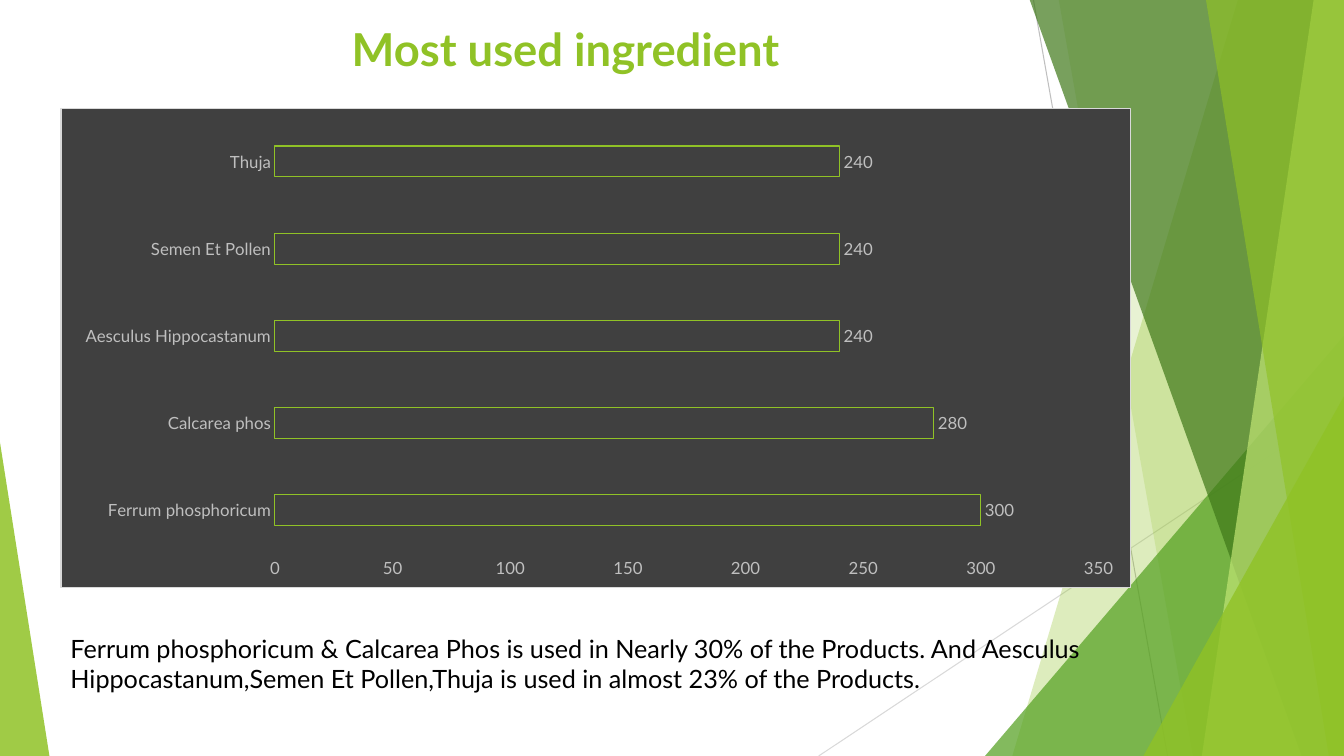
from dataclasses import dataclass

from lxml import etree
from pptx import Presentation
from pptx import util as u
from pptx.chart.data import CategoryChartData
from pptx.dml.color import RGBColor
from pptx.enum import chart as ch, shapes, text
from pptx.oxml import ns, parse_xml


@dataclass(frozen=True)
class Theme:
    """Colours, type sizes and line width of the slide."""
    font: str = "Lato"
    lime: str = "90C226"
    green: str = "54A021"
    forest: str = "3F7819"
    pale: str = "C0E474"
    panel: str = "404040"
    panel_edge: str = "D9D9D9"
    chart_text: str = "BFBFBF"
    ink: str = "000000"
    title_size: float = 32.4
    body_size: float = 18
    chart_size: float = 12
    hairline: float = 0.75


PANEL_XML = """<c:spPr %s><a:solidFill><a:srgbClr val="%s"/></a:solidFill>
<a:ln w="%d"><a:solidFill><a:srgbClr val="%s"/></a:solidFill></a:ln></c:spPr>"""
LAYOUT_XML = """<c:layout %s><c:manualLayout><c:layoutTarget val="inner"/>
<c:xMode val="edge"/><c:yMode val="edge"/><c:x val="%s"/><c:y val="%s"/>
<c:w val="%s"/><c:h val="%s"/></c:manualLayout></c:layout>"""


def inches(*lengths):
    """Convert several lengths to slide units."""
    return [u.Inches(length) for length in lengths]


class SlideBuilder:
    """Draws styled elements on one slide."""

    def __init__(self, slide, theme):
        """Keep the slide and its theme."""
        self.slide, self.theme = slide, theme

    def _font(self, font, size, color, bold=False):
        """Style a font."""
        font.name, font.size, font.bold = self.theme.font, u.Pt(size), bold
        font.color.rgb = RGBColor.from_string(color)

    def _glass(self, shape, color, opacity):
        """Give a shape a see-through fill without line or shadow."""
        shape.shadow.inherit = False
        shape.line.fill.background()
        shape.fill.solid()
        shape.fill.fore_color.rgb = RGBColor.from_string(color)
        tint = shape.fill._xPr.find(".//" + ns.qn("a:srgbClr"))
        etree.SubElement(tint, ns.qn("a:alpha"), val=str(opacity * 1000))

    def line(self, start, end, color):
        """Draw a hairline."""
        line = self.slide.shapes.add_connector(
            shapes.MSO_CONNECTOR.STRAIGHT, *inches(*start, *end))
        line.line.color.rgb = RGBColor.from_string(color)
        line.line.width = u.Pt(self.theme.hairline)
        etree.SubElement(line._element.spPr, ns.qn("a:effectLst"))

    def facet(self, points, color, opacity):
        """Draw a see-through polygon."""
        first, *rest = [inches(*point) for point in points]
        outline = self.slide.shapes.build_freeform(*first)
        outline.add_line_segments(rest, close=True)
        self._glass(outline.convert_to_shape(), color, opacity)

    def triangle(self, box, apex, color, opacity):
        """Draw a see-through triangle with its apex at a fraction of the width."""
        triangle = self.slide.shapes.add_shape(
            shapes.MSO_SHAPE.ISOSCELES_TRIANGLE, *inches(*box))
        triangle.adjustments[0] = apex
        self._glass(triangle, color, opacity)

    def text(self, box, words, size, color, bold=False, align=text.PP_ALIGN.LEFT,
             anchor=text.MSO_ANCHOR.TOP):
        """Add a wrapped paragraph."""
        frame = self.slide.shapes.add_textbox(*inches(*box)).text_frame
        frame.word_wrap, frame.vertical_anchor = True, anchor
        paragraph = frame.paragraphs[0]
        paragraph.text, paragraph.alignment = words, align
        self._font(paragraph.font, size, color, bold)

    def bar_chart(self, box, counts, plot_area):
        """Add a chart of outlined horizontal bars on a dark panel."""
        theme = self.theme
        data = CategoryChartData()
        data.categories = list(counts)
        data.add_series("Series 1", list(counts.values()))
        chart = self.slide.shapes.add_chart(
            ch.XL_CHART_TYPE.BAR_CLUSTERED, *inches(*box), data).chart
        chart.has_title = chart.has_legend = False
        self._font(chart.font, theme.chart_size, theme.chart_text)
        for axis in (chart.category_axis, chart.value_axis):
            axis.has_major_gridlines = False
            axis.major_tick_mark = axis.minor_tick_mark = ch.XL_TICK_MARK.NONE
            axis.format.line.fill.background()
            self._font(axis.tick_labels.font, theme.chart_size, theme.chart_text)
        chart.value_axis.minimum_scale = 0
        chart.value_axis.maximum_scale = 350
        chart.value_axis.major_unit = 50

        plot = chart.plots[0]
        plot.gap_width, plot.overlap, plot.vary_by_categories = 182, -50, False
        bars = plot.series[0]
        bars.format.fill.background()
        bars.format.line.color.rgb = RGBColor.from_string(theme.lime)
        bars.format.line.width = u.Pt(theme.hairline)
        labels = bars.data_labels
        labels.show_value = True
        labels.position = ch.XL_LABEL_POSITION.OUTSIDE_END
        self._font(labels.font, theme.chart_size, theme.chart_text)

        root = chart._chartSpace
        panel = PANEL_XML % (ns.nsdecls("c", "a"), theme.panel,
                             u.Pt(theme.hairline), theme.panel_edge)
        root.find(ns.qn("c:txPr")).addprevious(parse_xml(panel))
        area = root.find(".//" + ns.qn("c:plotArea"))
        for layout in area.findall(ns.qn("c:layout")):
            area.remove(layout)
        area.insert(0, parse_xml(LAYOUT_XML % (ns.nsdecls("c"), *plot_area)))


def draw_backdrop(builder):
    """Draw the green facets along the slide edges."""
    theme = builder.theme
    top, right, bottom = -0.01, 13.33, 7.5

    def band(top_left, bottom_left, color, opacity):
        """Draw a facet that reaches the right edge."""
        builder.facet([(top_left, top), (right, top), (right, bottom),
                       (bottom_left, bottom)], color, opacity)

    builder.line((10.25, 0), (11.58, bottom), theme.chart_text)
    builder.line((right, 4.03), (8.12, bottom), theme.panel_edge)
    band(12.28, 10.04, theme.lime, 30)
    band(10.5, 11.83, theme.lime, 20)
    builder.triangle((9.77, 3.33, 3.56, 4.17), 1, theme.green, 72)
    band(10.21, 12.91, theme.forest, 70)
    band(13.03, 11.92, theme.pale, 70)
    band(11.96, 13.18, theme.lime, 65)
    builder.triangle((11.34, 3.93, 1.99, 3.57), 1, theme.lime, 80)
    builder.triangle((0, 4.39, 0.49, 3.11), 0, theme.lime, 85)


def main():
    """Build and save the slide."""
    deck = Presentation()
    deck.slide_width, deck.slide_height = inches(13.33, 7.5)
    theme = Theme()
    builder = SlideBuilder(deck.slides.add_slide(deck.slide_layouts[6]), theme)
    draw_backdrop(builder)
    builder.text((0.91, 0.15, 9.4, 0.66), "Most used ingredient", theme.title_size,
                 theme.lime, bold=True, align=text.PP_ALIGN.CENTER,
                 anchor=text.MSO_ANCHOR.MIDDLE)
    product_counts = {"Ferrum phosphoricum": 300, "Calcarea phos": 280,
                      "Aesculus Hippocastanum": 240, "Semen Et Pollen": 240,
                      "Thuja": 240}
    builder.bar_chart((0.6, 1.07, 10.62, 4.76), product_counts,
                      plot_area=(0.2, 0.02, 0.77, 0.91))
    builder.text((0.6, 6.23, 10.62, 0.71),
                 "Ferrum phosphoricum & Calcarea Phos is used in Nearly 30% of the "
                 "Products. And Aesculus Hippocastanum,Semen Et Pollen,Thuja is used "
                 "in almost 23% of the Products.", theme.body_size, theme.ink)
    deck.save("out.pptx")


main()
